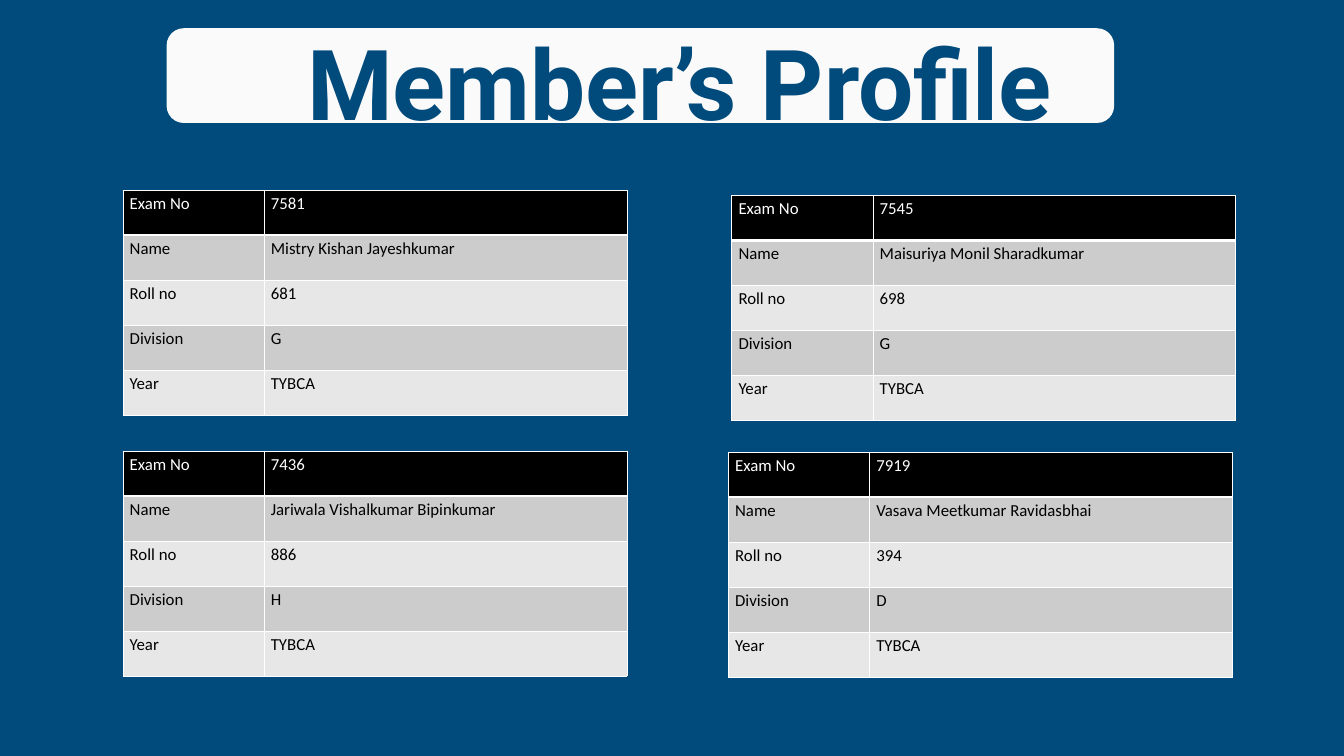
from dataclasses import dataclass

from lxml import etree
from pptx import Presentation
from pptx import util as u
from pptx.dml.color import RGBColor
from pptx.enum import shapes, text
from pptx.oxml import ns

PX = 9144  # EMU in one px, 100 px to the inch
HUES = {
    "blue": "004A7C",
    "card": "FAFAFA",
    "head": "000000",
    "dark": "CCCCCC",
    "light": "E7E7E7",
    "white": "FFFFFF",
    "ink": "000000",
}
LABELS = ("Exam No", "Name", "Roll no", "Division", "Year")
COLS = (210, 540)
ROW = 67


@dataclass
class Member:
    left: int
    top: int
    exam: str
    name: str
    roll: str
    group: str
    year: str = "TYBCA"


MEMBERS = (
    Member(183, 671, "7436", "Jariwala Vishalkumar Bipinkumar", "886", "H"),
    Member(183, 283, "7581", "Mistry Kishan Jayeshkumar", "681", "G"),
    Member(1089, 291, "7545", "Maisuriya Monil Sharadkumar", "698", "G"),
    Member(1084, 673, "7919", "Vasava Meetkumar Ravidasbhai", "394", "D"),
)


def px(n: int) -> u.Emu:
    return u.Emu(n * PX)


def hue(key: str) -> RGBColor:
    return RGBColor.from_string(HUES[key])


def add_run(para, words: str, font: str, size: float, key: str, bold: bool = False) -> None:
    run = para.add_run()
    run.text = words
    run.font.name = font
    run.font.size = u.Pt(size)
    run.font.bold = bold
    run.font.color.rgb = hue(key)


def add_edges(cell, base: float) -> None:
    """Draw white cell borders, with the bottom one base points wide."""
    props = cell._tc.get_or_add_tcPr()
    for side, wide in (("L", 1), ("R", 1), ("T", 1), ("B", base)):
        line = etree.SubElement(props, ns.qn(f"a:ln{side}"), w=str(u.Pt(wide)))
        fill = etree.SubElement(line, ns.qn("a:solidFill"))
        etree.SubElement(fill, ns.qn("a:srgbClr"), val=HUES["white"])


def add_title(slide) -> None:
    """Set the title on top of its rounded card."""
    title = slide.shapes.title
    title.left, title.top, title.width, title.height = map(px, (414, 5, 1195, 193))
    frame = title.text_frame
    frame.margin_left = frame.margin_right = frame.margin_top = frame.margin_bottom = 0
    frame.word_wrap = True
    frame.auto_size = text.MSO_AUTO_SIZE.SHAPE_TO_FIT_TEXT
    frame.vertical_anchor = text.MSO_ANCHOR.TOP
    para = frame.paragraphs[0]
    para.alignment = text.PP_ALIGN.CENTER
    para.line_spacing = u.Pt(146.8)
    add_run(para, "Member’s Profile", "Roboto", 104.9, "blue", True)

    card = slide.shapes.add_shape(
        shapes.MSO_SHAPE.ROUNDED_RECTANGLE, px(248), px(42), px(1410), px(141)
    )
    card.adjustments[0] = 0.18
    card.shadow.inherit = False
    card.fill.solid()
    card.fill.fore_color.rgb = hue("card")
    card.line.fill.background()
    title.element.addprevious(card.element)


def add_member(slide, who: Member) -> None:
    values = (who.exam, who.name, who.roll, who.group, who.year)
    rows = len(LABELS)
    table = slide.shapes.add_table(
        rows, len(COLS), px(who.left), px(who.top), px(sum(COLS)), px(rows * ROW)
    ).table
    for col, width in zip(table.columns, COLS):
        col.width = px(width)
    for i, pair in enumerate(zip(LABELS, values)):
        table.rows[i].height = px(ROW)
        back = "head" if i == 0 else "dark" if i % 2 else "light"
        for j, words in enumerate(pair):
            cell = table.cell(i, j)
            add_edges(cell, 1 if i else 3)
            cell.fill.solid()
            cell.fill.fore_color.rgb = hue(back)
            para = cell.text_frame.paragraphs[0]
            add_run(para, words, "Calibri", 18, "ink" if i else "white")


def main() -> None:
    deck = Presentation()
    deck.slide_width, deck.slide_height = px(2000), px(1125)
    slide = deck.slides.add_slide(deck.slide_layouts[5])
    slide.background.fill.solid()
    slide.background.fill.fore_color.rgb = hue("blue")
    add_title(slide)
    for who in MEMBERS:
        add_member(slide, who)
    deck.save("out.pptx")


if __name__ == "__main__":
    main()
